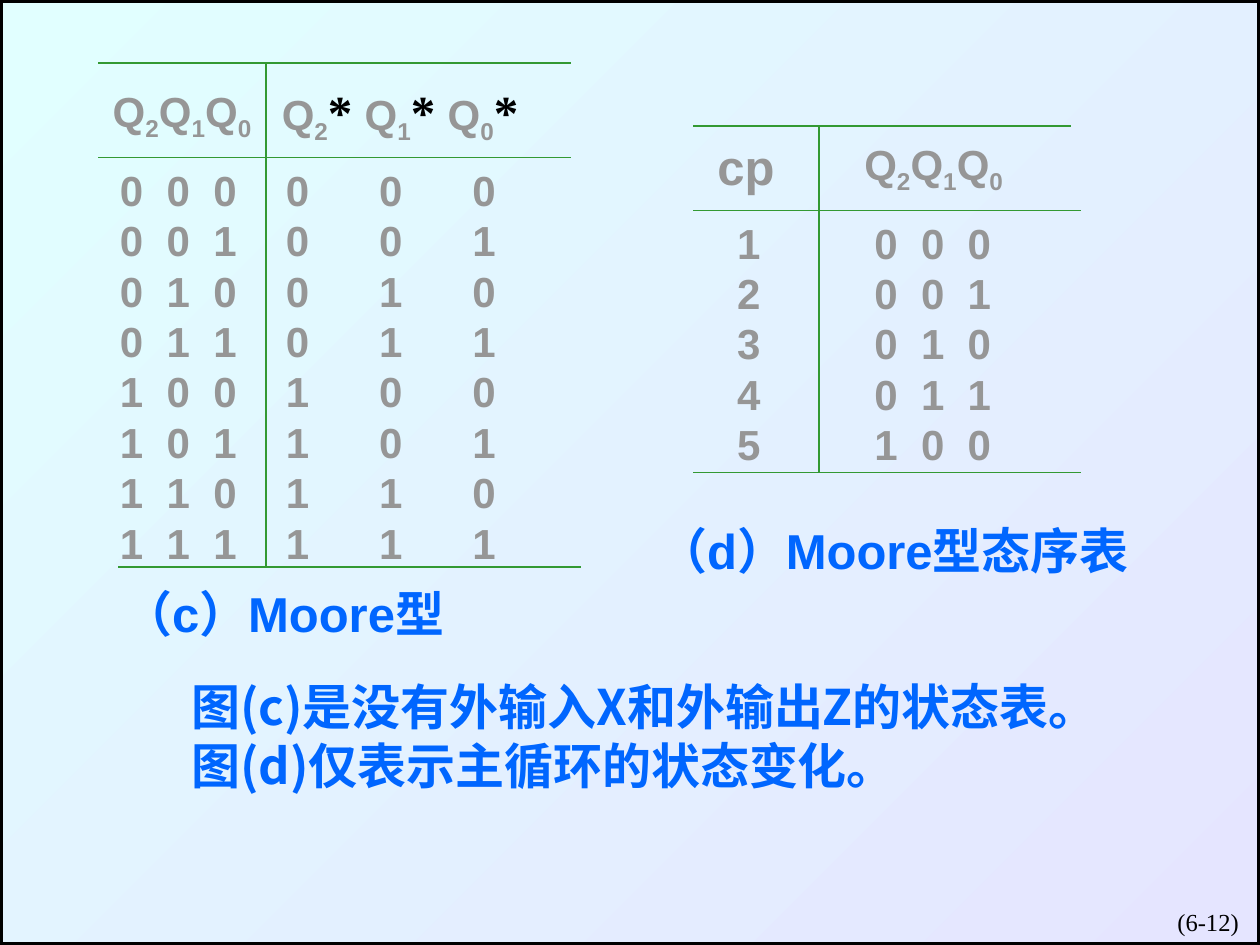
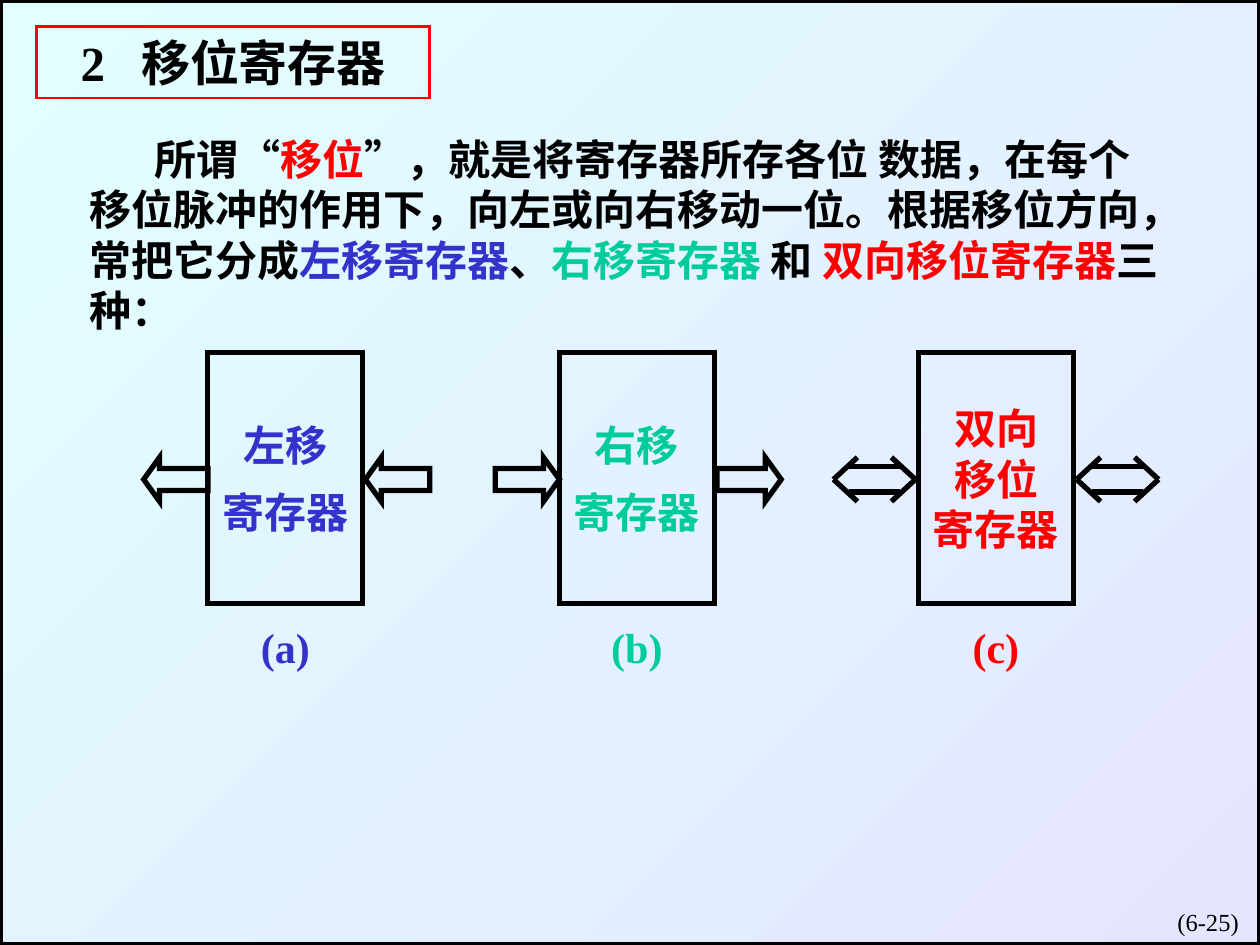
from dataclasses import dataclass, replace
from itertools import product
from typing import Optional

import lxml.etree
import pptx
import pptx.dml.color
import pptx.enum.shapes
import pptx.enum.text
import pptx.oxml.ns
import pptx.util

ALIGN = pptx.enum.text.PP_ALIGN
ANCHOR = pptx.enum.text.MSO_ANCHOR
SHAPE = pptx.enum.shapes.MSO_SHAPE
STRAIGHT = pptx.enum.shapes.MSO_CONNECTOR.STRAIGHT
qn = pptx.oxml.ns.qn

SLIDE_WIDTH = pptx.util.Inches(10)
SLIDE_HEIGHT = pptx.util.Inches(7.5)
COLUMNS, ROWS = 40, 30
PLAIN_TABLE = "{2D5ABB26-0587-4C30-8999-92F81FD0307C}"


@dataclass(frozen=True)
class Style:
    size: float
    face: str
    color: str
    bold: bool = True


@dataclass(frozen=True)
class Theme:
    black: str = "000000"
    red: str = "FF0000"
    indigo: str = "3333CC"
    teal: str = "00CC99"
    rule: str = "339933"
    sky: str = "E1FFFF"
    lavender: str = "E5E5FF"
    thin: float = 1
    medium: float = 1.5
    thick: float = 3
    page: Style = Style(14, "Times New Roman", "000000", False)
    heading: Style = Style(28, "Times New Roman", "000000")
    body: Style = Style(24, "Times New Roman", "000000")
    cell: Style = Style(24, "Arial", "969696")
    clock: Style = Style(28, "Arial", "969696")
    caption: Style = Style(28, "Arial", "0066FF")
    remark: Style = Style(28, "Noto Sans CJK SC", "0066FF")


THEME = Theme()


@dataclass(frozen=True)
class Box:
    left: float
    top: float
    width: float
    height: float

    def emu(self) -> tuple:
        return tuple(map(grid, (self.left, self.top, self.width, self.height)))


@dataclass(frozen=True)
class Span:
    text: str
    style: Optional[Style] = None
    subscript: bool = False


@dataclass(frozen=True)
class StateColumn:
    header: tuple
    header_style: Style
    width: float
    indent: float
    pitch: float
    entries: tuple


@dataclass(frozen=True)
class StateTable:
    left: float
    top: float
    columns: tuple
    rules: tuple
    header_height: float = 3.2
    row_height: float = 1.6


@dataclass(frozen=True)
class Register:
    left: float
    lines: tuple
    line_gap: float
    label: str
    color: str
    arrow: Optional[SHAPE]


def grid(cells: float) -> int:
    return round(SLIDE_WIDTH / COLUMNS * cells)


def rgb(color: str) -> pptx.dml.color.RGBColor:
    return pptx.dml.color.RGBColor.from_string(color)


def set_font(font, style: Style) -> None:
    font.size = pptx.util.Pt(style.size)
    font.name = style.face
    font.bold = style.bold
    font.color.rgb = rgb(style.color)


def add_tabs(paragraph, stops: tuple) -> None:
    tabs = lxml.etree.SubElement(paragraph._p.get_or_add_pPr(), qn("a:tabLst"))
    for stop in stops:
        lxml.etree.SubElement(tabs, qn("a:tab"), pos=str(grid(stop)), algn="l")


def write(paragraph, spans: tuple, style: Style, align=ALIGN.LEFT, tabs: tuple = ()) -> None:
    paragraph.alignment = align
    if tabs:
        add_tabs(paragraph, tabs)
    set_font(paragraph.font, style)
    for span in spans:
        run = paragraph.add_run()
        run.text = span.text
        if span.style:
            set_font(run.font, span.style)
        if span.subscript:
            run._r.get_or_add_rPr().set("baseline", "-25000")


def add_text(slide, box: Box, spans: tuple, style: Style, align=ALIGN.LEFT,
             anchor=ANCHOR.TOP, wrap: bool = True):
    frame = slide.shapes.add_textbox(*box.emu()).text_frame
    frame.word_wrap = wrap
    frame.vertical_anchor = anchor
    write(frame.paragraphs[0], spans, style, align)
    return frame.paragraphs[0]


def add_outline(slide, kind, box: Box, color: str, width: float):
    shape = slide.shapes.add_shape(kind, *box.emu())
    shape.shadow.inherit = False
    shape.fill.background()
    shape.line.color.rgb = rgb(color)
    shape.line.width = pptx.util.Pt(width)
    lxml.etree.SubElement(shape._element.spPr.find(qn("a:ln")), qn("a:miter"), lim="800000")
    return shape


def add_line(slide, ends: tuple, color: str, width: float) -> None:
    line = slide.shapes.add_connector(STRAIGHT, *map(grid, ends))
    line.line.color.rgb = rgb(color)
    line.line.width = pptx.util.Pt(width)
    lxml.etree.SubElement(line._element.spPr, qn("a:effectLst"))


def add_page(deck, number: str):
    slide = deck.slides.add_slide(deck.slide_layouts[6])
    backdrop = add_outline(slide, SHAPE.RECTANGLE, Box(0, 0, COLUMNS, ROWS),
                           THEME.black, THEME.thick)
    backdrop.fill.gradient()
    backdrop.fill.gradient_angle = 315
    for stop, color in zip(backdrop.fill.gradient_stops, (THEME.sky, THEME.lavender)):
        stop.color.rgb = rgb(color)
    add_text(slide, Box(31.4, 28.6, 8.32, 2), (Span(number),), THEME.page, ALIGN.RIGHT)
    return slide


def clear_cell(cell, indent: float = 0):
    cell.fill.background()
    cell.vertical_anchor = ANCHOR.MIDDLE
    cell.margin_left = grid(indent)
    cell.margin_right = cell.margin_top = cell.margin_bottom = 0
    return cell.text_frame.paragraphs[0]


def add_state_table(slide, states: StateTable) -> None:
    count = len(states.columns[0].entries)
    box = Box(states.left, states.top, sum(column.width for column in states.columns),
              states.header_height + count * states.row_height)
    table = slide.shapes.add_table(count + 1, len(states.columns), *box.emu()).table
    table.first_row = table.horz_banding = False
    table._tbl.tblPr.find(qn("a:tableStyleId")).text = PLAIN_TABLE
    for index, row in enumerate(table.rows):
        row.height = grid(states.row_height if index else states.header_height)
    for index, column in enumerate(states.columns):
        table.columns[index].width = grid(column.width)
        write(clear_cell(table.cell(0, index)), column.header, column.header_style, ALIGN.CENTER)
        for row, entry in enumerate(column.entries, 1):
            write(clear_cell(table.cell(row, index), column.indent),
                  (Span("\t".join(entry)),), THEME.cell,
                  tabs=(column.pitch, 2 * column.pitch) if len(entry) > 1 else ())
    for ends in states.rules:
        add_line(slide, ends, THEME.rule, THEME.thin)


def state_header(starred: bool = False) -> tuple:
    spans = []
    for bit in "210":
        spans += [Span("Q"), Span(bit, subscript=True)]
        if starred:
            spans.append(Span("* " if bit != "0" else "*", THEME.heading))
    return tuple(spans)


def add_double_arrow(slide, center: float, middle: float) -> None:
    strokes = [(-0.8, side * 0.4, 0.8, side * 0.4) for side in (-1, 1)]
    strokes += [(side * 1.3, 0, side * 0.54, rise * 0.7)
                for side, rise in product((-1, 1), repeat=2)]
    for x1, y1, x2, y2 in strokes:
        add_line(slide, (center + x1, middle + y1, center + x2, middle + y2),
                 THEME.black, THEME.thick)


def add_register(slide, register: Register) -> None:
    body = Box(register.left, 11.2, 4.92, 7.96)
    style = replace(THEME.body, color=register.color)
    arrow_width, arrow_height, middle = 2.04, 1.4, 15.22
    for side in (-1, 1):
        if register.arrow:
            left = body.left - arrow_width if side < 0 else body.left + body.width + 0.08
            arrow = add_outline(slide, register.arrow,
                                Box(left, middle - arrow_height / 2, arrow_width, arrow_height),
                                THEME.black, THEME.thick)
            arrow.adjustments[1] = 0.36
        else:
            add_double_arrow(slide, body.left + body.width / 2 + side * 3.86, middle)
    frame = add_outline(slide, SHAPE.RECTANGLE, body, THEME.black, THEME.thick).text_frame
    frame.margin_left = frame.margin_right = 0
    frame.vertical_anchor = ANCHOR.MIDDLE
    for index, line in enumerate(register.lines):
        paragraph = frame.add_paragraph() if index else frame.paragraphs[0]
        if index:
            paragraph.space_before = pptx.util.Pt(register.line_gap)
        write(paragraph, (Span(line),), style, ALIGN.CENTER)
    add_text(slide, Box(body.left, 19.54, body.width, 2), (Span(register.label),),
             style, ALIGN.CENTER)


def build_state_tables(deck) -> None:
    slide = add_page(deck, "(6-12)")
    codes = tuple(f"{value:03b}" for value in range(8))
    sequence = codes[:5]
    add_state_table(slide, StateTable(3.12, 2.08, (
        StateColumn(state_header(), THEME.cell, 5.32, 0.69, 1.48, codes),
        StateColumn(state_header(True), THEME.cell, 8.52, 0.64, 2.96, codes),
    ), ((3.12, 2, 18.12, 2), (3.12, 5, 18.12, 5), (3.76, 18, 18.44, 18), (8.44, 2, 8.44, 18))))
    add_state_table(slide, StateTable(21.6, 3.76, (
        StateColumn((Span("cp"),), THEME.clock, 4.16, 1.8, 0, tuple("12345")),
        StateColumn(state_header(), THEME.cell, 7.76, 2, 1.48, sequence),
    ), ((22, 4, 34, 4), (22, 6.68, 34.32, 6.68), (22, 15, 34.32, 15), (26, 4, 26, 15))))
    for caption, box in (("（c）Moore型", Box(2.76, 18.32, 12.48, 2.28)),
                         ("（d）Moore型态序表", Box(19.76, 16.32, 17.2, 2.28))):
        add_text(slide, box, (Span(caption),), THEME.caption, ALIGN.CENTER, ANCHOR.MIDDLE, False)
    add_text(slide, Box(5.68, 21.28, 30, 4.16),
             (Span("图(c)是没有外输入X和外输出Z的状态表。 图(d)仅表示主循环的状态变化。"),),
             THEME.remark, anchor=ANCHOR.MIDDLE)


def build_shift_registers(deck) -> None:
    slide = add_page(deck, "(6-25)")
    heading = add_outline(slide, SHAPE.RECTANGLE, Box(1.16, 0.84, 12.48, 2.28),
                          THEME.red, THEME.medium).text_frame
    heading.margin_left = grid(1.4)
    heading.vertical_anchor = ANCHOR.TOP
    write(heading.paragraphs[0], (Span("2\t移位寄存器"),), THEME.heading, tabs=(1.92,))

    red, indigo, teal = (replace(THEME.body, color=color)
                         for color in (THEME.red, THEME.indigo, THEME.teal))
    definition = add_text(slide, Box(2.44, 4.04, 34.8, 6.8), (
        Span("所谓“"), Span("移位", red),
        Span("”，就是将寄存器所存各位 数据，在每个移位脉冲的作用下，"
             "向左或向右移动一位。根据移位方向，常把它分成"),
        Span("左移寄存器", indigo), Span("、"), Span("右移寄存器 ", teal),
        Span("和 "), Span("双向移位寄存器", red), Span("三种："),
    ), THEME.body)
    definition._p.get_or_add_pPr().set("indent", str(grid(2.08)))

    for register in (
        Register(6.6, ("左移", "寄存器"), 10, "(a)", THEME.indigo, SHAPE.LEFT_ARROW),
        Register(17.76, ("右移", "寄存器"), 10, "(b)", THEME.teal, SHAPE.RIGHT_ARROW),
        Register(29.16, ("双向", "移位", "寄存器"), 0, "(c)", THEME.red, None),
    ):
        add_register(slide, register)


def main() -> None:
    deck = pptx.Presentation()
    deck.slide_width, deck.slide_height = SLIDE_WIDTH, SLIDE_HEIGHT
    build_state_tables(deck)
    build_shift_registers(deck)
    deck.save("out.pptx")


if __name__ == "__main__":
    main()
